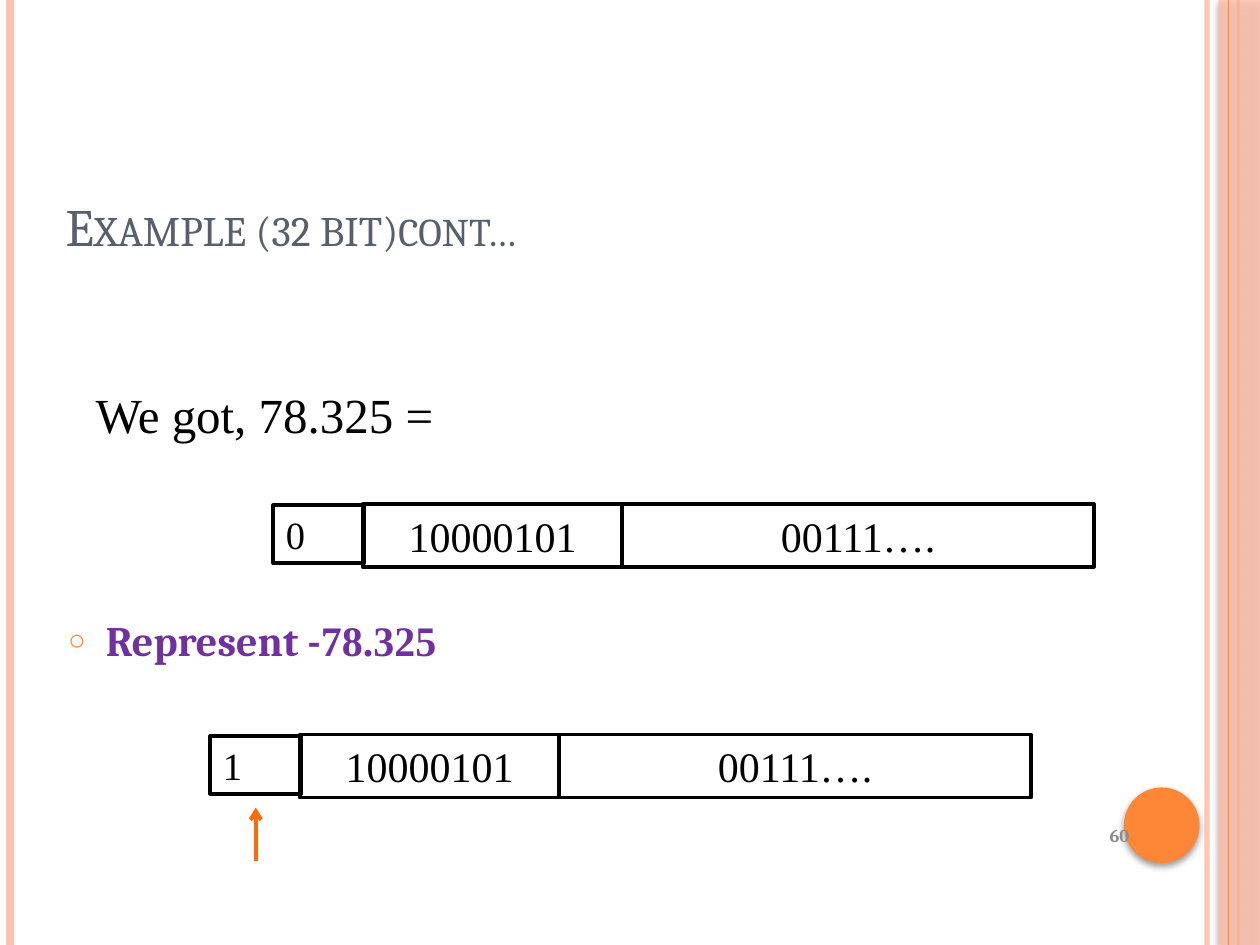
from dataclasses import dataclass

from lxml import etree
from pptx import Presentation
from pptx.dml.color import RGBColor
from pptx.enum.shapes import MSO_CONNECTOR, MSO_SHAPE
from pptx.enum.text import MSO_ANCHOR, MSO_AUTO_SIZE, PP_ALIGN
from pptx.oxml.ns import qn
from pptx.util import Inches, Pt

RECTANGLE, OVAL = MSO_SHAPE.RECTANGLE, MSO_SHAPE.OVAL
STRAIGHT = MSO_CONNECTOR.STRAIGHT
TOP, MIDDLE, BOTTOM = MSO_ANCHOR.TOP, MSO_ANCHOR.MIDDLE, MSO_ANCHOR.BOTTOM
LEFT, CENTER, RIGHT = PP_ALIGN.LEFT, PP_ALIGN.CENTER, PP_ALIGN.RIGHT
NO_FIT = MSO_AUTO_SIZE.NONE

PEACH = RGBColor(0xFE, 0xC2, 0xAE)
ORANGE = RGBColor(0xFE, 0x86, 0x37)
ARROW_ORANGE = RGBColor(0xFF, 0x6A, 0x09)
SLATE = RGBColor(0x57, 0x5F, 0x6D)
PURPLE = RGBColor(0x70, 0x30, 0xA0)
GRAY = RGBColor(0x8B, 0x8B, 0x8B)
BLACK = RGBColor(0, 0, 0)

CAMBRIA, TIMES = "Cambria", "Times New Roman"
SLIDE_HEIGHT = 7.5


@dataclass(frozen=True)
class Field:
    """One part of a floating-point word, placed relative to the word."""
    offset: float
    drop: float
    width: float
    height: float
    size: float
    align: PP_ALIGN


@dataclass(frozen=True)
class Word:
    left: float
    top: float
    bits: tuple[str, str, str]


FIELDS = (
    Field(0, 0.01, 0.72, 0.46, 22, LEFT),
    Field(0.71, 0, 2.06, 0.5, 24, CENTER),
    Field(2.77, 0, 3.74, 0.5, 24, CENTER),
)
WORDS = (
    Word(2.17, 4, ("0", "10000101", "00111….")),
    Word(1.67, 5.83, ("1", "10000101", "00111….")),
)


def place(shape, left: float, top: float, width: float, height: float) -> None:
    shape.left, shape.top = Inches(left), Inches(top)
    shape.width, shape.height = Inches(width), Inches(height)


def add_span(para, text: str, size: float, font: str, color: RGBColor, bold: bool = False):
    span = para.add_run()
    span.text = text
    span.font.size, span.font.name, span.font.bold = Pt(size), font, bold
    span.font.color.rgb = color
    return span


def prepare(shape, anchor: MSO_ANCHOR, align: PP_ALIGN):
    """Set up the text frame and return its first paragraph."""
    frame = shape.text_frame
    frame.word_wrap, frame.auto_size = True, NO_FIT
    frame.vertical_anchor = anchor
    para = frame.paragraphs[0]
    para.alignment = align
    return para


def set_alpha(color_parent, percent: int) -> None:
    color = next(color_parent.iter(qn("a:srgbClr")))
    etree.SubElement(color, qn("a:alpha"), val=str(percent * 1000))


def add_line(page, start: tuple[float, float], end: tuple[float, float],
             color: RGBColor, width: float):
    points = [Inches(value) for value in (*start, *end)]
    line = page.shapes.add_connector(STRAIGHT, *points)
    line.line.color.rgb, line.line.width = color, Pt(width)
    etree.SubElement(line._element.spPr, qn("a:effectLst"))
    return line


def add_rule(page, x: float, color: RGBColor, width: float):
    return add_line(page, (x, 0), (x, SLIDE_HEIGHT), color, width)


def add_shadowed(page, kind: MSO_SHAPE, left: float, top: float,
                 width: float, height: float, color: RGBColor):
    shape = page.shapes.add_shape(kind, 0, 0, 0, 0)
    place(shape, left, top, width, height)
    shape.fill.solid()
    shape.fill.fore_color.rgb = color
    shape.line.fill.background()
    shape.shadow.inherit = False
    effects = shape._element.spPr.find(qn("a:effectLst"))
    shadow = etree.SubElement(effects, qn("a:outerShdw"), blurRad=str(Pt(4)),
                              dist=str(Pt(2)), dir="5400000", rotWithShape="0")
    etree.SubElement(shadow, qn("a:srgbClr"), val=str(BLACK))
    set_alpha(shadow, 40)
    return shape


def add_text(page, left: float, top: float, width: float, height: float,
             anchor: MSO_ANCHOR, align: PP_ALIGN):
    box = page.shapes.add_textbox(0, 0, 0, 0)
    place(box, left, top, width, height)
    return prepare(box, anchor, align)


def add_word(page, word: Word) -> None:
    for field, bits in zip(FIELDS, word.bits):
        box = page.shapes.add_shape(RECTANGLE, 0, 0, 0, 0)
        place(box, word.left + field.offset, word.top + field.drop, field.width, field.height)
        box.fill.background()
        box.line.color.rgb, box.line.width = BLACK, Pt(2.25)
        box.shadow.inherit = False
        add_span(prepare(box, TOP, field.align), bits, field.size, TIMES, BLACK)


def add_bullet(para) -> None:
    para.space_before = Pt(0)
    props = para._p.get_or_add_pPr()
    props.set("marL", str(Inches(0.3)))
    props.set("indent", str(-Inches(0.3)))
    color = etree.SubElement(props, qn("a:buClr"))
    etree.SubElement(color, qn("a:srgbClr"), val=str(ORANGE))
    etree.SubElement(props, qn("a:buSzPct"), val="70000")
    etree.SubElement(props, qn("a:buChar"), char="○")


def add_frame(page) -> None:
    edge = add_rule(page, 9.58, PEACH, 3)
    set_alpha(edge.line._ln, 93)
    add_rule(page, 0.08, PEACH, 4.5)
    add_rule(page, 9.83, ORANGE, 1.5)
    band = add_shadowed(page, RECTANGLE, 9.67, 0, 0.33, SLIDE_HEIGHT, PEACH)
    set_alpha(band._element.spPr.find(qn("a:solidFill")), 87)
    add_rule(page, 9.75, ORANGE, 0.75)
    add_shadowed(page, OVAL, 8.92, 6.25, 0.6, 0.6, ORANGE)


def main() -> None:
    deck = Presentation()
    deck.slide_width, deck.slide_height = Inches(10), Inches(SLIDE_HEIGHT)
    page = deck.slides.add_slide(deck.slide_layouts[1])
    add_frame(page)

    # Title in small capitals
    title = page.shapes.title
    place(title, 0.42, 0.92, 9, 1.17)
    para = prepare(title, BOTTOM, LEFT)
    for text, size in (("Example (32 bit)", 30), ("cont…", 28)):
        span = add_span(para, text, size, CAMBRIA, SLATE)
        span.font._element.set("cap", "small")

    # Bulleted task
    body = page.placeholders[1]
    place(body, 0.44, 4.83, 9, 0.67)
    para = prepare(body, TOP, LEFT)
    add_bullet(para)
    add_span(para, "Represent -", 24, CAMBRIA, PURPLE, bold=True)
    add_span(para, "78.325", 24, TIMES, PURPLE, bold=True)

    # Page number and lead-in
    para = add_text(page, 8.43, 6.43, 0.63, 0.4, MIDDLE, RIGHT)
    add_span(para, "60", 10.5, CAMBRIA, GRAY, bold=True)
    para = add_text(page, 0.66, 3, 4.59, 0.56, TOP, LEFT)
    add_span(para, "We got, 78.325 =", 28, TIMES, BLACK)

    # Floating-point words, with an arrow to the changed sign bit
    for word in WORDS:
        add_word(page, word)
    arrow = add_line(page, (2.03, 6.83), (2.03, 6.41), ARROW_ORANGE, 2.25)
    etree.SubElement(arrow.line._ln, qn("a:tailEnd"), type="arrow")

    deck.save("out.pptx")


if __name__ == "__main__":
    main()
